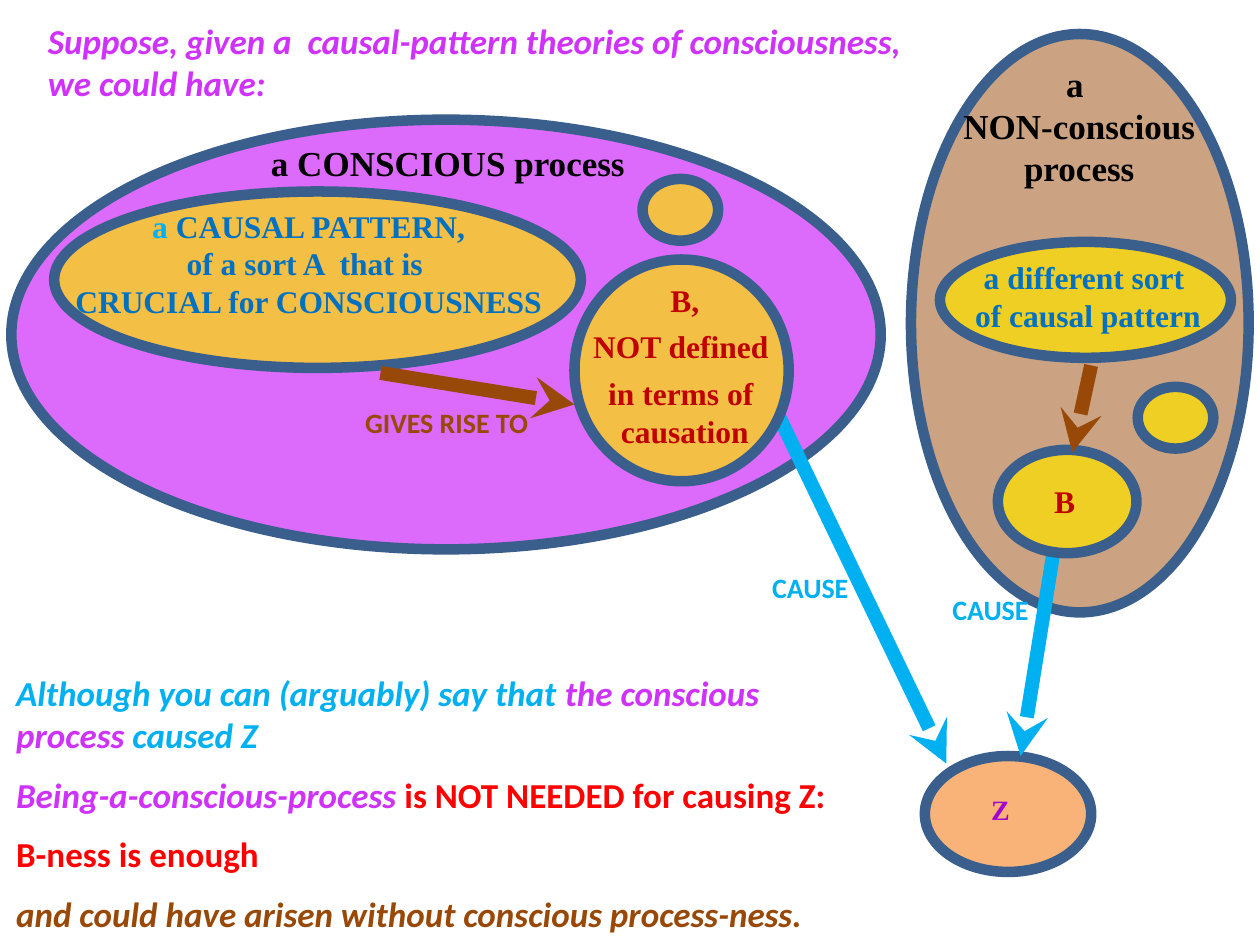
from itertools import zip_longest

from lxml.etree import SubElement
from pptx import Presentation
from pptx.dml.color import RGBColor
from pptx.enum.shapes import MSO_CONNECTOR, MSO_SHAPE
from pptx.enum.text import MSO_ANCHOR, PP_ALIGN
from pptx.oxml.ns import qn
from pptx.util import Inches, Pt

COLORS = {
    "outline": "3A5F8C",
    "brown": "984807",
    "orange": "F79646",
    "yellow": "FEE000",
    "violet": "CF32FA",
    "purple": "A205CD",
    "cyan": "00B0F0",
    "blue": "0070C0",
    "crimson": "C00000",
    "red": "FF0000",
    "black": "000000",
}
SERIF = "Times New Roman"
SANS = "Calibri"


def color_of(name):
    return RGBColor.from_string(COLORS[name])


def within(box, left, top, width, height):
    """Place an area relative to the top left corner of a box."""
    return box[0] + left, box[1] + top, width, height


def write_text(frame, paragraphs, color="black", size=18, font=SERIF,
               align=PP_ALIGN.CENTER, italic=False, before=0, after=()):
    """Fill a frame; a paragraph is a string or a list of (text, color, italic)."""
    frame.word_wrap = True
    for index, (content, gap) in enumerate(zip_longest(paragraphs, after, fillvalue=0)):
        paragraph = frame.paragraphs[0] if index == 0 else frame.add_paragraph()
        paragraph.alignment = align
        paragraph.space_before, paragraph.space_after = Pt(before), Pt(gap)
        runs = [(content, color, italic)] if isinstance(content, str) else content
        for text, run_color, run_italic in runs:
            for part_index, part in enumerate(text.split("\v")):
                if part_index:
                    paragraph.add_line_break()
                run = paragraph.add_run()
                run.text = part
                run.font.name, run.font.size = font, Pt(size)
                run.font.bold, run.font.italic = True, run_italic
                run.font.color.rgb = color_of(run_color)


def add_text(slide, area, paragraphs, **text_format):
    text_box = slide.shapes.add_textbox(*map(Inches, area))
    write_text(text_box.text_frame, paragraphs, **text_format)


def add_label(slide, area, text, color):
    add_text(slide, area, [text], color=color, size=16, font=SANS,
             align=PP_ALIGN.LEFT, before=10)


def add_ellipse(slide, area, color, opacity=72):
    shape = slide.shapes.add_shape(MSO_SHAPE.OVAL, *map(Inches, area))
    shape.shadow.inherit = False
    shape.fill.solid()
    shape.fill.fore_color.rgb = color_of(color)
    fill_color = shape.fill._xPr.find(qn("a:solidFill"))[0]
    SubElement(fill_color, qn("a:alpha"), val=str(opacity * 1000))
    shape.line.color.rgb = color_of("outline")
    shape.line.width = Pt(6)


def add_arrow(slide, box, start, end, color):
    points = [Inches(box[axis] + point[axis]) for point in (start, end) for axis in (0, 1)]
    arrow = slide.shapes.add_connector(MSO_CONNECTOR.STRAIGHT, *points)
    arrow.line.color.rgb = color_of(color)
    arrow.line.width = Pt(8)
    SubElement(arrow.line._get_or_add_ln(), qn("a:tailEnd"), type="stealth")
    SubElement(arrow._element.spPr, qn("a:effectLst"))


def add_title(slide, box):
    title = slide.shapes.title
    title.left, title.top, title.width, title.height = map(Inches, box)
    title.text_frame.vertical_anchor = MSO_ANCHOR.MIDDLE
    write_text(title.text_frame,
               ["Suppose, given a  causal-pattern theories of consciousness, \vwe could have:"],
               color="violet", size=20, font=SANS, align=PP_ALIGN.LEFT, italic=True)


def add_outcome(slide, box):
    add_ellipse(slide, box, "orange")
    add_text(slide, within(box, 0.27, 0.24, 0.66, 0.37), ["Z"], color="purple", size=16)


def add_conscious_process(slide, box):
    add_ellipse(slide, box, "violet")
    add_text(slide, within(box, 1.57, 0.12, 3.79, 0.44), ["a CONSCIOUS process"], size=20)

    # Causal pattern
    add_ellipse(slide, within(box, 0.34, 0.57, 4.18, 1.4), "yellow")
    add_text(slide, within(box, -0.02, 0.64, 4.76, 1.01),
             [[("a ", "cyan", False), ("CAUSAL PATTERN,", "blue", False)],
              "of a sort A  that is ",
              "CRUCIAL for CONSCIOUSNESS"], color="blue")

    # Effect on Z
    add_arrow(slide, box, (6.09, 2.35), (7.42, 5.11), "cyan")
    add_label(slide, within(box, 5.94, 3.53, 1.03, 0.39), "CAUSE", "cyan")

    # B and the pattern that gives rise to it
    add_ellipse(slide, within(box, 4.47, 1.11, 1.7, 1.76), "yellow")
    add_text(slide, within(box, 4.23, 1.23, 2.23, 1.45),
             ["B,", "NOT defined ", "in terms of ", "causation"],
             color="crimson", after=(5, 5))
    add_ellipse(slide, within(box, 5.01, 0.47, 0.6, 0.49), "yellow")
    add_arrow(slide, box, (2.93, 2.01), (4.47, 2.26), "brown")
    add_label(slide, within(box, 2.71, 2.22, 1.8, 0.39), "GIVES RISE TO", "brown")


def add_non_conscious_process(slide, box):
    add_ellipse(slide, box, "brown", opacity=50)
    add_text(slide, within(box, -0.24, 0.18, 3.15, 1.11),
             ["a ", "NON-conscious", "process"], size=20)

    # Effect on Z
    add_arrow(slide, box, (1.13, 4.12), (0.87, 5.73), "cyan")
    add_label(slide, within(box, 0.23, 4.38, 0.91, 0.39), "CAUSE", "cyan")

    # B and the pattern that gives rise to it
    add_ellipse(slide, within(box, 0.69, 3.3, 1.1, 0.82), "yellow")
    add_text(slide, within(box, 0.84, 3.51, 0.76, 0.4), ["B"], color="crimson")
    add_ellipse(slide, within(box, 0.23, 1.65, 2.31, 0.92), "yellow")
    add_arrow(slide, box, (1.43, 2.63), (1.28, 3.32), "brown")
    add_text(slide, within(box, 0.24, 1.73, 2.33, 0.71),
             ["a different sort ", "of causal pattern"], color="blue")
    add_ellipse(slide, within(box, 1.8, 2.8, 0.6, 0.49), "yellow")


def add_conclusion(slide, box):
    add_text(slide, box, [
        [("Although you can (arguably) say that ", "cyan", True),
         ("the conscious process ", "violet", True),
         ("caused Z", "cyan", True)],
        [("Being-a-conscious-process", "violet", True),
         (" is NOT NEEDED for causing Z:", "red", False)],
        [("B-ness is enough", "red", False)],
        [("and could have arisen without conscious process-ness.", "brown", True)],
    ], size=20, font=SANS, align=PP_ALIGN.LEFT, before=10)


def main():
    presentation = Presentation()
    presentation.slide_width, presentation.slide_height = Inches(10), Inches(7.5)
    slide = presentation.slides.add_slide(presentation.slide_layouts[5])
    add_title(slide, (0.28, 0.11, 9.29, 0.75))
    add_outcome(slide, (7.34, 6, 1.32, 0.92))
    add_conscious_process(slide, (0.09, 0.95, 6.9, 3.41))
    add_non_conscious_process(slide, (7.23, 0.27, 2.68, 4.59))
    add_conclusion(slide, (0.03, 5.28, 6.96, 1.59))
    presentation.save("out.pptx")


if __name__ == "__main__":
    main()
